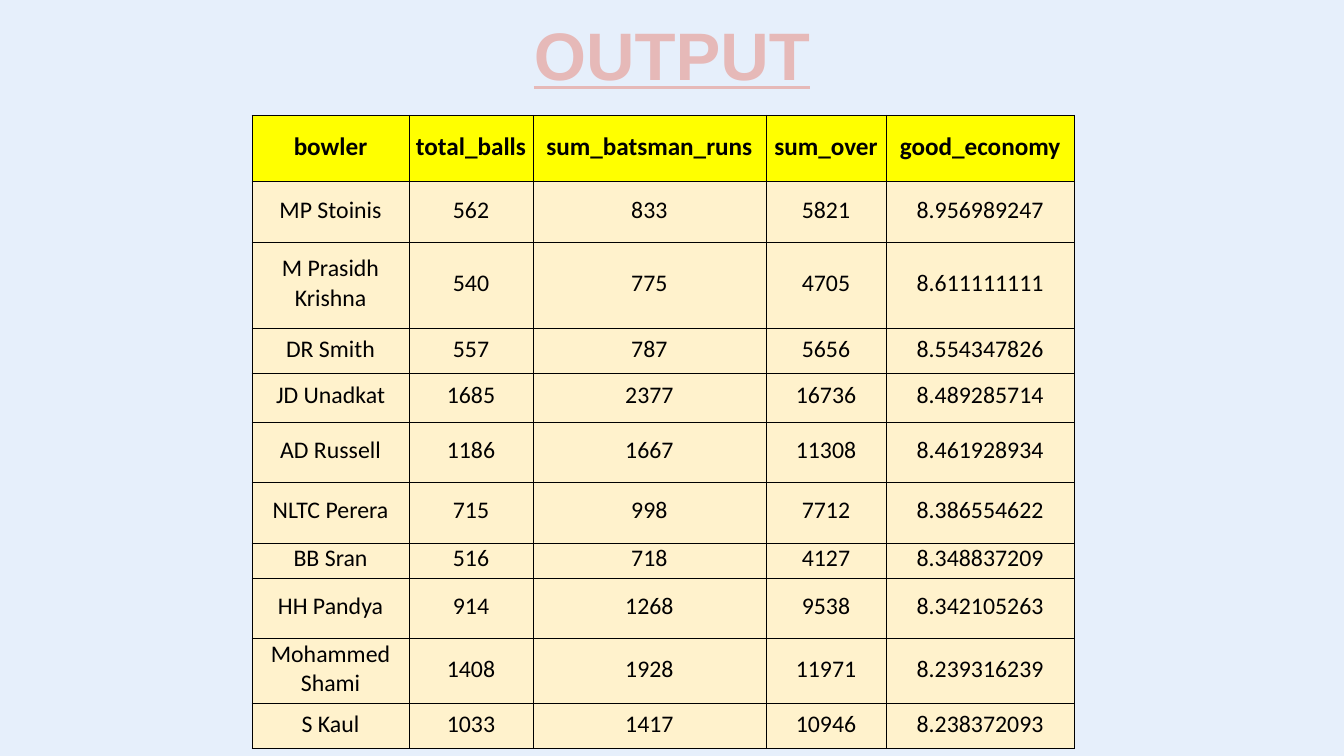
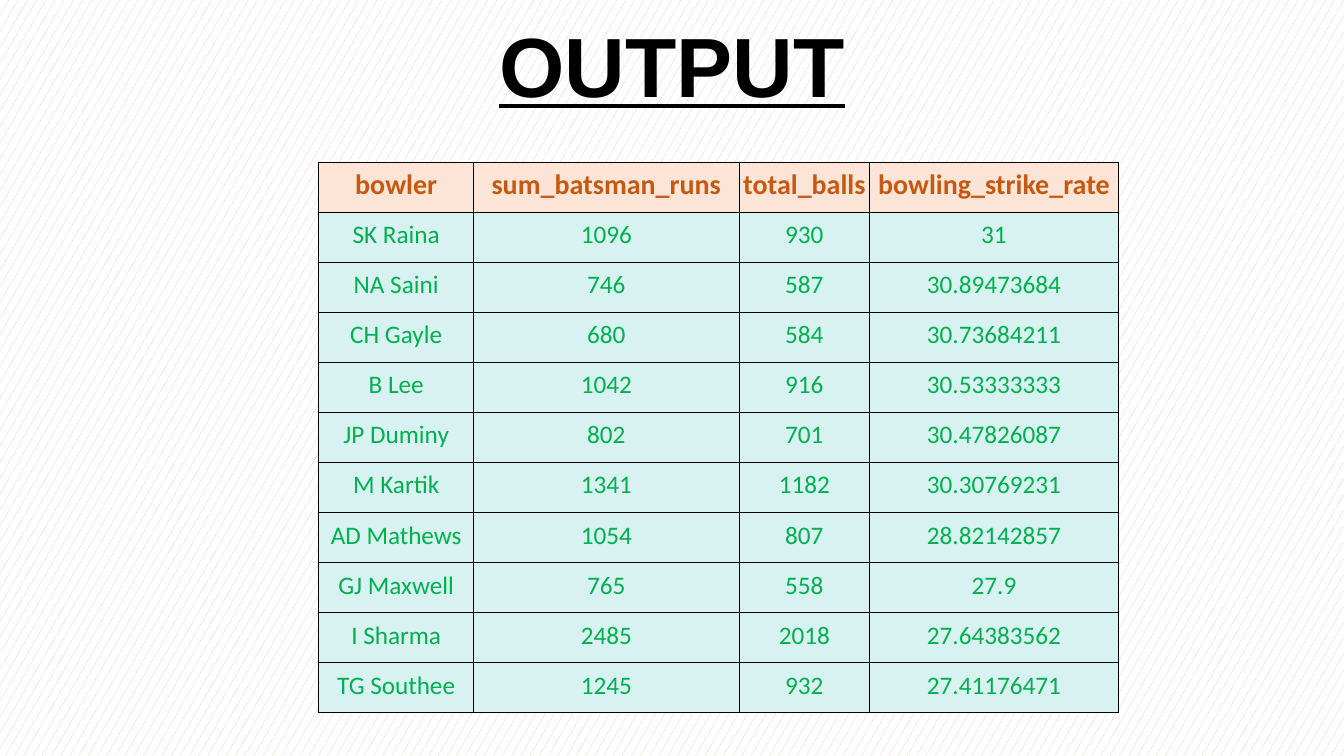
from lxml.etree import SubElement
from pptx import Presentation
from pptx.dml.color import RGBColor
from pptx.enum.dml import MSO_PATTERN
from pptx.enum.text import MSO_ANCHOR, MSO_AUTO_SIZE, PP_ALIGN
from pptx.oxml import parse_xml
from pptx.oxml.ns import nsdecls, qn
from pptx.util import Cm, Pt

COLORS = {
    "black": "000000", "white": "FFFFFF", "sky": "E6EFFB", "rose": "E6B9B8",
    "red": "C0504D", "yellow": "FFFF00", "cream": "FFF2CC", "peach": "FCE4D6",
    "rust": "C65911", "mint": "D7F2F0", "green": "00B050",
}
RGB = {name: RGBColor.from_string(code) for name, code in COLORS.items()}
WIDE, HIGH = Cm(33.87), Cm(19.05)

SLIDES = [
    {
        "title": (48, "rose"), "left": 6.35, "top": 2.9,
        "head": (18, "black", "yellow"), "body": (17, "black", "cream"),
        "cols": [3.96, 3.12, 5.87, 3.03, 4.74],
        "rows": [1.68, 1.52, 2.18, 1.12, 1.24, 1.52, 1.52, 0.88, 1.52, 1.62, 1.14],
        "data": [
            ("bowler", "total_balls", "sum_batsman_runs", "sum_over", "good_economy"),
            ("MP Stoinis", 562, 833, 5821, "8.956989247"),
            ("M Prasidh Krishna", 540, 775, 4705, "8.611111111"),
            ("DR Smith", 557, 787, 5656, "8.554347826"),
            ("JD Unadkat", 1685, 2377, 16736, "8.489285714"),
            ("AD Russell", 1186, 1667, 11308, "8.461928934"),
            ("NLTC Perera", 715, 998, 7712, "8.386554622"),
            ("BB Sran", 516, 718, 4127, "8.348837209"),
            ("HH Pandya", 914, 1268, 9538, "8.342105263"),
            ("Mohammed Shami", 1408, 1928, 11971, "8.239316239"),
            ("S Kaul", 1033, 1417, 10946, "8.238372093"),
        ],
    },
    {
        "title": (60, "black"), "left": 8.03, "top": 4.09,
        "head": (20, "rust", "peach"), "body": (18, "green", "mint"),
        "cols": [3.91, 6.68, 3.3, 6.26],
        "rows": [1.26] * 11,
        "data": [
            ("bowler", "sum_batsman_runs", "total_balls", "bowling_strike_rate"),
            ("SK Raina", 1096, 930, "31"),
            ("NA Saini", 746, 587, "30.89473684"),
            ("CH Gayle", 680, 584, "30.73684211"),
            ("B Lee", 1042, 916, "30.53333333"),
            ("JP Duminy", 802, 701, "30.47826087"),
            ("M Kartik", 1341, 1182, "30.30769231"),
            ("AD Mathews", 1054, 807, "28.82142857"),
            ("GJ Maxwell", 765, 558, "27.9"),
            ("I Sharma", 2485, 2018, "27.64383562"),
            ("TG Southee", 1245, 932, "27.41176471"),
        ],
    },
]


def style(para, face, size, color, bold):
    para.alignment = PP_ALIGN.CENTER
    for run in para.runs:
        font = run.font
        font.name, font.size, font.bold = face, Pt(size), bold
        font.color.rgb = RGB[color]


def border(cell):
    """Draw a thin black line on all four sides of a cell."""
    props = cell._tc.get_or_add_tcPr()
    for spot, side in enumerate(("lnL", "lnR", "lnT", "lnB")):
        line = parse_xml(f'<a:{side} {nsdecls("a")} w="{Pt(0.5)}"/>')
        fill = SubElement(line, qn("a:solidFill"))
        SubElement(fill, qn("a:srgbClr"), val=COLORS["black"])
        props.insert(spot, line)


prs = Presentation()
prs.slide_width, prs.slide_height = WIDE, HIGH
titles = []

for page in SLIDES:
    slide = prs.slides.add_slide(prs.slide_layouts[5])
    title = slide.shapes.title
    title.left, title.top, title.width, title.height = 0, 0, WIDE, HIGH
    frame = title.text_frame
    frame.text = "OUTPUT"
    frame.auto_size = MSO_AUTO_SIZE.NONE
    frame.vertical_anchor = MSO_ANCHOR.TOP
    frame.margin_top = Cm(0.33)
    style(frame.paragraphs[0], "Arial", *page["title"], True)
    frame.paragraphs[0].runs[0].font.underline = True
    titles.append(title)

    data, cols, rows = page["data"], page["cols"], page["rows"]
    table = slide.shapes.add_table(
        len(rows), len(cols), Cm(page["left"]), Cm(page["top"]),
        Cm(sum(cols)), Cm(sum(rows))).table
    table.first_row = table.horz_banding = False
    for col, width in zip(table.columns, cols):
        col.width = Cm(width)
    for r, (row, height) in enumerate(zip(table.rows, rows)):
        row.height = Cm(height)
        size, ink, fill = page["body" if r else "head"]
        for cell, value in zip(row.cells, data[r]):
            cell.text = str(value)
            cell.vertical_anchor = MSO_ANCHOR.MIDDLE
            cell.margin_left = cell.margin_right = cell.margin_top = Cm(0.03)
            cell.margin_bottom = Cm(0.13)
            cell.fill.solid()
            cell.fill.fore_color.rgb = RGB[fill]
            border(cell)
            style(cell.text_frame.paragraphs[0], "Calibri", size, ink, r == 0)

# The first title has a plain ground and outlined letters
first, second = titles
first.fill.solid()
first.fill.fore_color.rgb = RGB["sky"]
edge = parse_xml(f'<a:ln {nsdecls("a")} w="{Pt(1.75)}"/>')
SubElement(SubElement(edge, qn("a:solidFill")), qn("a:srgbClr"), val=COLORS["red"])
first.text_frame.paragraphs[0].runs[0].font._element.insert(0, edge)

# The second has a patterned ground
second.fill.patterned()
second.fill.pattern = MSO_PATTERN.SMALL_CONFETTI
second.fill.fore_color.rgb = RGB["rose"]
second.fill.back_color.rgb = RGB["white"]

prs.save("out.pptx")
